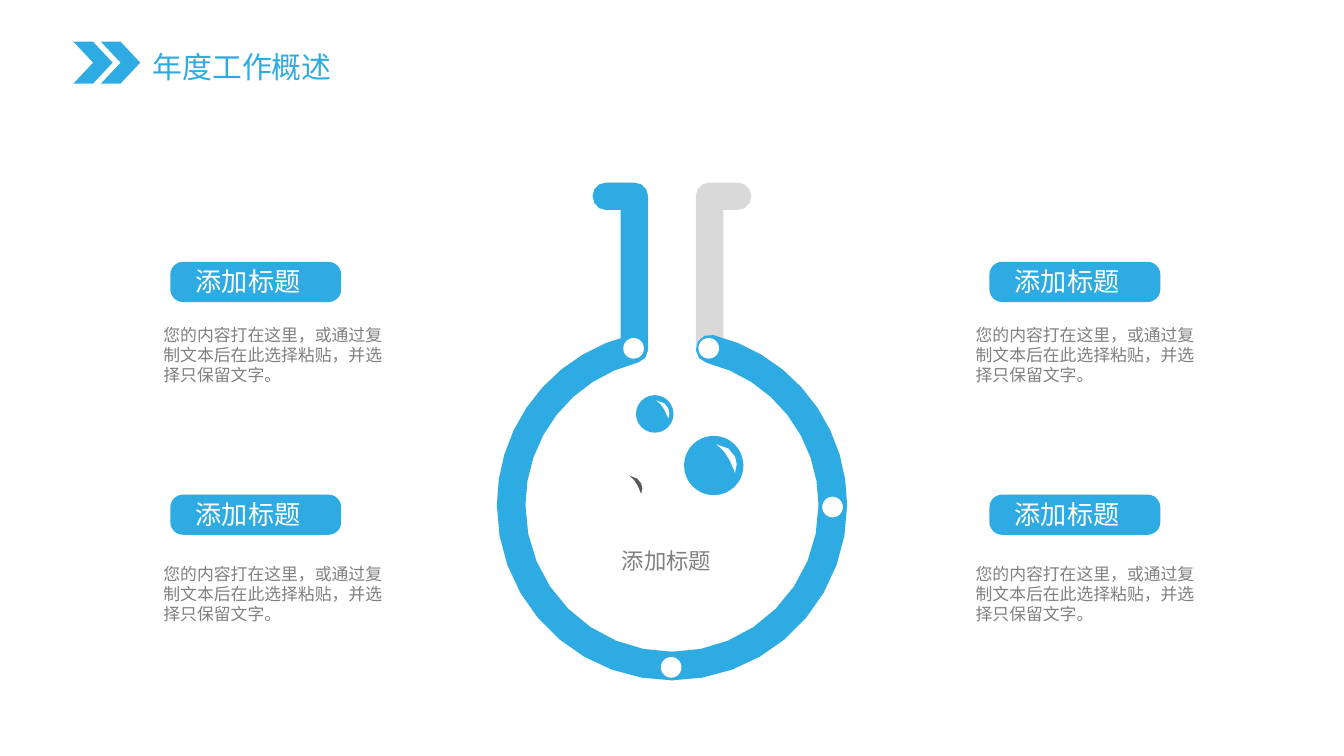
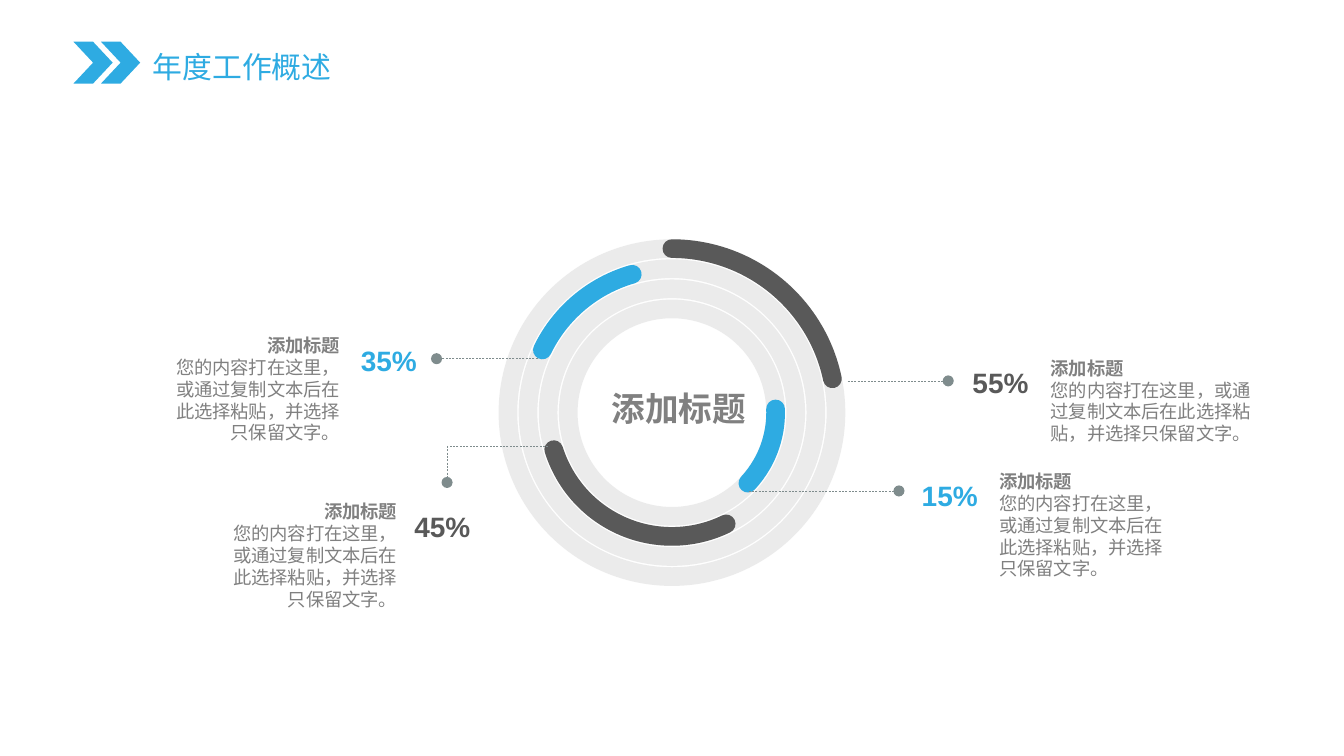
import math

import pptx
import pptx.dml.color
import pptx.enum.dml
import pptx.enum.shapes
import pptx.enum.text
import pptx.oxml
import pptx.oxml.ns
import pptx.util
from lxml import etree

Cm = pptx.util.Cm
Pt = pptx.util.Pt
qn = pptx.oxml.ns.qn
SHAPE = pptx.enum.shapes.MSO_SHAPE
ALIGN = pptx.enum.text.PP_ALIGN

COLORS = {
    "blue": "2EABE2",
    "dark": "595959",
    "grey": "808080",
    "light": "D9D9D9",
    "leader": "7F8C8D",
    "white": "FFFFFF",
}
LATIN_FONT = "Arial"
CHINESE_FONT = "Noto Sans CJK SC"
SECTION = "年度工作概述"
HEADING = "添加标题"
BODY = "您的内容打在这里，或通过复制文本后在此选择粘贴，并选择只保留文字。"
CENTER_X = 12.7


def rgb(color):
    return pptx.dml.color.RGBColor.from_string(COLORS[color])


def place(left, top, width, height):
    return Cm(left), Cm(top), Cm(width), Cm(height)


def write_text(frame, text, size, color="grey", font=LATIN_FONT, bold_lines=0,
               align=ALIGN.LEFT, wrap=True, leading=1.2, inset=(0.25, 0.13)):
    """Fill a frame with one paragraph per line; the first bold_lines are bold."""
    frame.auto_size = pptx.enum.text.MSO_AUTO_SIZE.NONE
    frame.word_wrap = wrap
    frame.vertical_anchor = pptx.enum.text.MSO_ANCHOR.TOP
    frame.margin_left = frame.margin_right = Cm(inset[0])
    frame.margin_top = frame.margin_bottom = Cm(inset[1])
    for index, line in enumerate(text.split("\n")):
        paragraph = frame.paragraphs[0] if index == 0 else frame.add_paragraph()
        paragraph.alignment = align
        paragraph.line_spacing = Pt(size * leading)
        paragraph.space_before = Pt(0)
        run = paragraph.add_run()
        run.text = line
        run.font.size = Pt(size)
        run.font.bold = index < bold_lines
        run.font.color.rgb = rgb(color)
        run.font.name = font
        east_asian = etree.SubElement(run.font._element, qn("a:ea"))
        east_asian.set("typeface", CHINESE_FONT)


def add_text(slide, box, text, **style):
    write_text(slide.shapes.add_textbox(*place(*box)).text_frame, text, **style)


def paint(shape, color):
    shape.shadow.inherit = False
    shape.fill.solid()
    shape.fill.fore_color.rgb = rgb(color)
    shape.line.fill.background()


def add_filled(slide, kind, box, color):
    shape = slide.shapes.add_shape(kind, *place(*box))
    paint(shape, color)
    return shape


def add_outline(slide, points, color):
    points = [(Cm(x), Cm(y)) for x, y in points]
    builder = slide.shapes.build_freeform(*points[0], scale=1.0)
    builder.add_line_segments(points[1:], close=True)
    paint(builder.convert_to_shape(), color)


def arc_points(x, y, radius, start, end, steps):
    angles = [math.radians(start + (end - start) * i / steps)
              for i in range(steps + 1)]
    return [(x + radius * math.cos(a), y + radius * math.sin(a)) for a in angles]


def add_section_slide(deck):
    slide = deck.slides.add_slide(deck.slide_layouts[5])
    title = slide.shapes.title
    title.left, title.top, title.width, title.height = place(2.69, 0.81, 3.81, 0.89)
    write_text(title.text_frame, SECTION, size=16, color="blue", font=CHINESE_FONT,
               wrap=False, leading=1.22, inset=(0.2, 0.1))
    for left in (1.39, 1.91):
        add_filled(slide, SHAPE.CHEVRON, (left, 0.79, 0.74, 0.79), "blue")
    return slide


# Flask slide

def add_liquid(slide):
    surface = 9.65
    add_outline(slide,
                [(10.74, surface)]
                + arc_points(11.8, 9.3, 0.42, 155, 385, 7)
                + [(14.63, surface)]
                + arc_points(CENTER_X, 9.69, 2.4, 12, 168, 8), "white")


def add_neck(slide, side, color):
    """Draw one flask neck; side is -1 for left and 1 for right."""
    radius, stem, lip, top, bottom = 0.26, 0.71, 1.24, 3.71, 6.6
    outline = (arc_points(lip, top, radius, 90, -90, 6)
               + arc_points(stem, top, radius, -90, -180, 3)
               + arc_points(stem, bottom, radius, 180, 0, 5)
               + [(stem + radius, top + radius)])
    add_outline(slide, [(CENTER_X + side * x, y) for x, y in outline], color)


def add_wall(slide, start, end):
    """Draw a part of the round flask wall with rounded ends."""
    center_y, radius, half = 9.55, 3.04, 0.27

    def cap(angle, first, last):
        x, y = arc_points(CENTER_X, center_y, radius, angle, angle, 1)[0]
        return arc_points(x, y, half, angle + first, angle + last, 5)[1:-1]

    add_outline(slide,
                arc_points(CENTER_X, center_y, radius + half, start, end, 9)
                + cap(end, 0, 180)
                + arc_points(CENTER_X, center_y, radius - half, end, start, 8)
                + cap(start, 180, 360), "blue")


def add_glint(slide, left, top, size, color):
    crescent = ((0, 0), (0.5, 0.18), (0.76, 0.5), (0.83, 0.8), (0.76, 1.15),
                (0.55, 0.65), (0.3, 0.26))
    add_outline(slide, [(left + size * x, top + size * y) for x, y in crescent], color)


def add_bubble(slide, left, top, size):
    add_filled(slide, SHAPE.OVAL, (left, top, size, size), "blue")
    add_glint(slide, left + 0.54 * size, top + 0.14 * size, 0.42 * size, "white")


def add_flask(slide):
    add_liquid(slide)
    add_bubble(slide, 12.02, 7.47, 0.71)
    add_glint(slide, 11.89, 8.99, 0.3, "dark")
    add_neck(slide, 1, "light")
    for start, end in ((-76.3, 0), (0, 90), (90, 180), (180, 256.3)):
        add_wall(slide, start, end)
    add_neck(slide, -1, "blue")
    add_bubble(slide, 12.93, 8.24, 1.12)
    dots = ((13.2, 6.39), (11.78, 6.39), (15.54, 9.39), (12.49, 12.42), (9.45, 7.21))
    for left, top in dots:
        add_filled(slide, SHAPE.OVAL, (left, top, 0.39, 0.39), "white")
    add_text(slide, (11.5, 10.24, 2.39, 0.76), HEADING, size=12, leading=1.12)


def add_card(slide, label_left, label_top, body_left, body_top):
    label = add_filled(slide, SHAPE.ROUNDED_RECTANGLE,
                       (label_left, label_top, 3.23, 0.76), "blue")
    label.adjustments[0] = 0.318
    add_text(slide, (label_left + 0.23, label_top - 0.07, 2.79, 0.86), HEADING,
             size=14, color="white", leading=1.22)
    add_text(slide, (body_left, body_top, 4.88, 1.42), BODY, size=9)


# Ring slide

def add_ring_line(slide, kind, radius, color):
    shape = slide.shapes.add_shape(
        kind, *place(CENTER_X - radius, 7.8 - radius, 2 * radius, 2 * radius))
    shape.shadow.inherit = False
    shape.fill.background()
    shape.line.width = Pt(10)
    shape.line.color.rgb = rgb(color)
    return shape, shape.element.spPr.find(qn("a:ln"))


def add_track(slide, radius):
    _, line = add_ring_line(slide, SHAPE.OVAL, radius, "light")
    shade = line.find(".//" + qn("a:srgbClr"))
    etree.SubElement(shade, qn("a:alpha")).set("val", "50000")


def add_progress(slide, radius, start, end, color):
    arc, line = add_ring_line(slide, SHAPE.ARC, radius, color)
    line.set("cap", "rnd")
    for index, degrees in enumerate((start, end)):
        arc.adjustments[index] = degrees * 0.6  # 60000 units per degree


def add_leader(slide, start, end, dot=True):
    leader = slide.shapes.add_connector(
        pptx.enum.shapes.MSO_CONNECTOR.STRAIGHT,
        *(Cm(value) for value in start + end))
    leader.line.width = Pt(0.25)
    leader.line.color.rgb = rgb("leader")
    leader.line.dash_style = pptx.enum.dml.MSO_LINE.DASH
    properties = leader.element.spPr
    if dot:
        line = properties.find(qn("a:ln"))
        etree.SubElement(line, qn("a:tailEnd")).set("type", "oval")
    etree.SubElement(properties, qn("a:effectLst"))


def add_callout(slide, share, color, share_at, note_box, align):
    add_text(slide, (*share_at, 1.57, 0.89), share, size=15, color=color,
             bold_lines=1, align=align, wrap=False)
    add_text(slide, note_box, HEADING + "\n" + BODY, size=9.75, bold_lines=1,
             align=align)


def add_rings(slide):
    radii = [3.1 - 0.38 * i for i in range(4)]
    for radius in radii:
        add_track(slide, radius)
    progress = ((270, 348.1, "dark"), (205.8, 254, "blue"),
                (64, 162.6, "dark"), (358, 42.9, "blue"))
    for radius, (start, end, color) in zip(radii, progress):
        add_progress(slide, radius, start, end, color)
    add_text(slide, (11.24, 7.21, 3.18, 1.8), HEADING, size=18, bold_lines=1,
             align=ALIGN.CENTER)


def main():
    deck = pptx.Presentation()
    deck.slide_width, deck.slide_height = Cm(25.4), Cm(14.29)

    flask = add_section_slide(deck)
    add_flask(flask)
    for label_left, body_left in ((3.22, 2.84), (18.7, 18.19)):
        for label_top, body_top in ((4.95, 6.01), (9.35, 10.53)):
            add_card(flask, label_left, label_top, body_left, body_top)

    rings = add_section_slide(deck)
    add_rings(rings)
    add_leader(rings, (16.02, 7.2), (17.92, 7.2))
    add_leader(rings, (14.15, 9.28), (16.99, 9.28))
    add_leader(rings, (10.16, 6.78), (8.25, 6.78))
    add_leader(rings, (10.36, 8.43), (8.45, 8.43), dot=False)
    add_leader(rings, (8.45, 8.43), (8.45, 9.12))
    callouts = (
        ("55%", "dark", (18.13, 6.78), (19.61, 6.62, 4.39, 1.93), ALIGN.LEFT),
        ("15%", "blue", (17.17, 8.92), (18.64, 8.76, 3.89, 2.34), ALIGN.LEFT),
        ("35%", "blue", (6.56, 6.37), (2.78, 6.19, 3.89, 2.34), ALIGN.RIGHT),
        ("45%", "dark", (7.57, 9.5), (3.86, 9.33, 3.89, 2.34), ALIGN.RIGHT),
    )
    for callout in callouts:
        add_callout(rings, *callout)

    deck.save("out.pptx")


if __name__ == "__main__":
    main()
